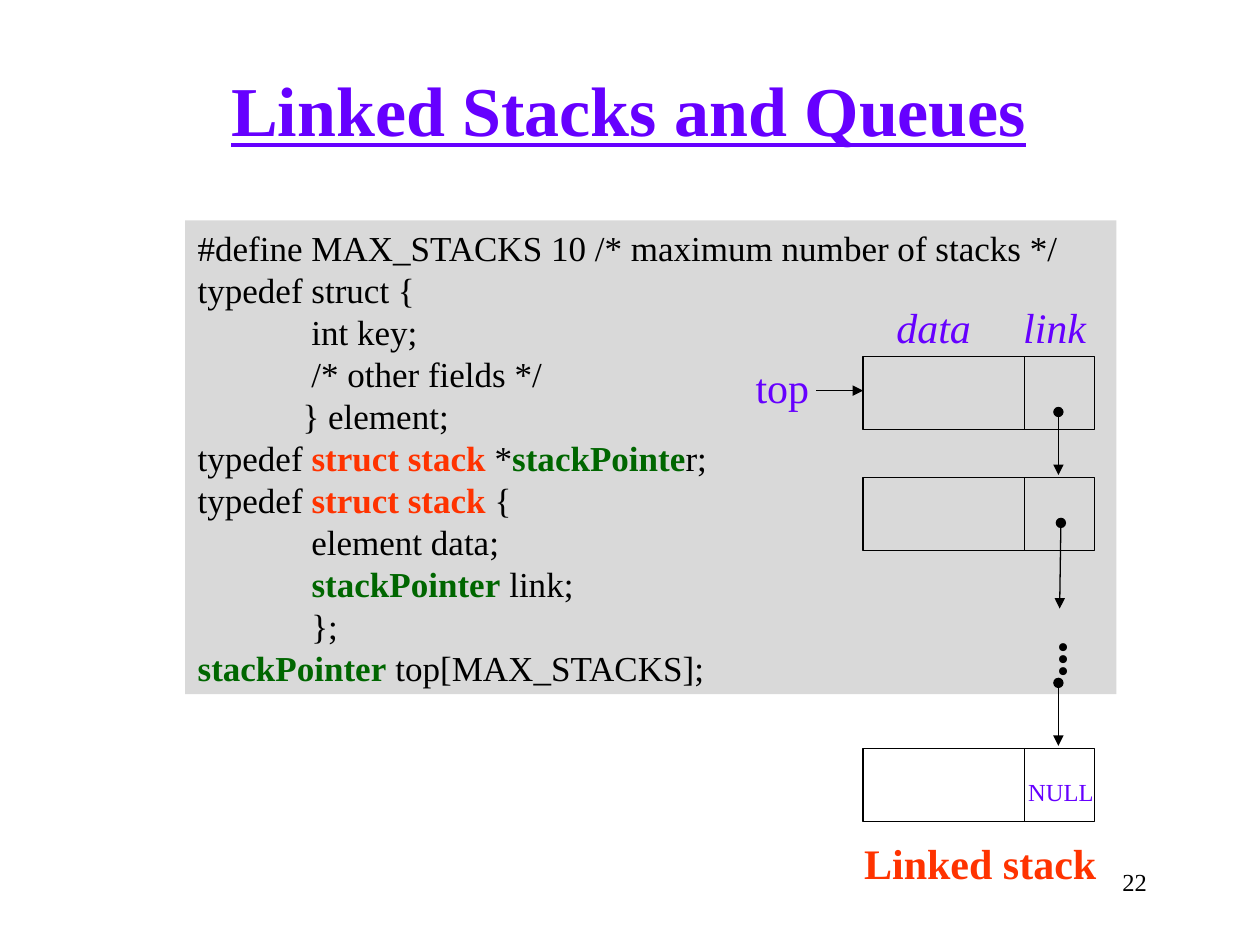
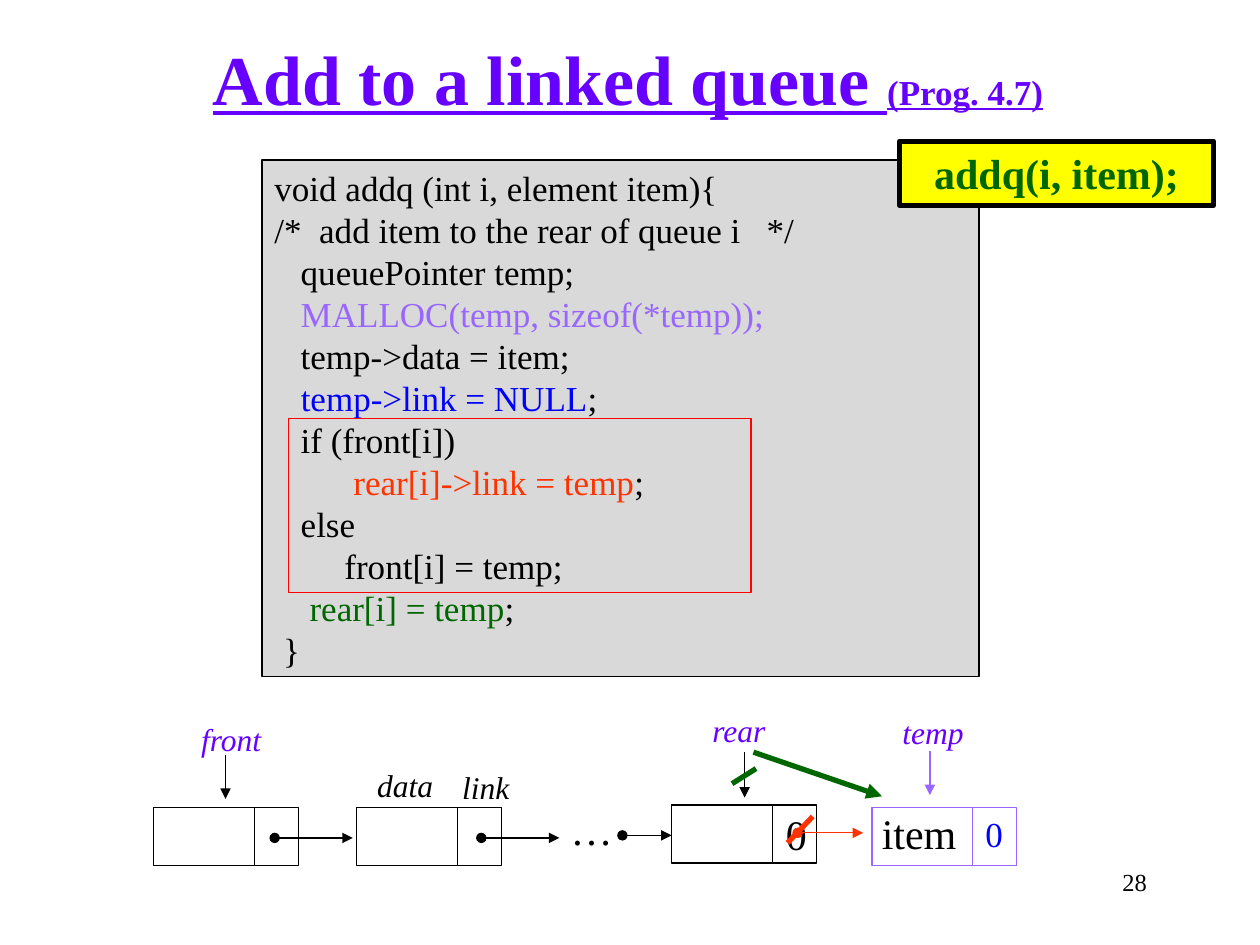
from dataclasses import dataclass

import lxml.etree
import pptx
import pptx.dml.color
import pptx.enum.shapes
import pptx.enum.text
import pptx.oxml.ns
import pptx.presentation
import pptx.slide
import pptx.util

PX = 9144
FONT = "Times New Roman"
INKS = {
    "black": "000000", "violet": "6600FF", "lilac": "9966FF", "red": "FF3300",
    "frame": "FF0000", "green": "006600", "blue": "0000FF", "grey": "D9D9D9",
    "yellow": "FFFF00",
}
ALIGN = pptx.enum.text.PP_ALIGN
ANCHOR = pptx.enum.text.MSO_ANCHOR
SHAPE = pptx.enum.shapes.MSO_SHAPE
STRAIGHT = pptx.enum.shapes.MSO_CONNECTOR.STRAIGHT


@dataclass
class Span:
    text: str
    ink: str = ""
    bold: bool = False
    size: int = 0


@dataclass
class Box:
    x: int
    y: int
    w: int
    h: int
    paras: tuple = ()
    size: int = 20
    ink: str = "black"
    bold: bool = False
    slant: bool = False
    under: bool = False
    align: int = ALIGN.CENTER
    mid: bool = False
    wrap: bool = True
    turn: str = ""
    fill: str = ""
    line: str = ""
    width: float = 0.75


@dataclass
class Node:
    x: int
    y: int
    data: int
    link: int
    h: int
    ink: str = "black"


@dataclass
class Arrow:
    x1: int
    y1: int
    x2: int
    y2: int
    ink: str = "black"
    width: float = 0.75
    head: str = "oval"
    tail: str = "triangle"


def px(count: int) -> pptx.util.Emu:
    """Turn px into EMU."""
    return pptx.util.Emu(count * PX)


def tint(name: str) -> pptx.dml.color.RGBColor:
    """Look up a colour by name."""
    return pptx.dml.color.RGBColor.from_string(INKS[name])


def fill_para(para, spans: tuple, box: Box) -> None:
    """Write the spans of one paragraph, with line breaks at newlines."""
    para.alignment = box.align
    for span in spans:
        span = Span(span) if isinstance(span, str) else span
        for count, piece in enumerate(span.text.split("\n")):
            if count:
                para.add_line_break()
            if not piece:
                continue
            run = para.add_run()
            run.text = piece
            font = run.font
            font.name = FONT
            font.size = pptx.util.Pt(span.size or box.size)
            font.bold = span.bold or box.bold
            font.italic = box.slant
            font.underline = box.under
            font.color.rgb = tint(span.ink or box.ink)


def draw_box(slide: pptx.slide.Slide, box: Box) -> None:
    """Draw a text box, or a rectangle if it has a fill or line."""
    place = [px(side) for side in (box.x, box.y, box.w, box.h)]
    if box.fill or box.line:
        shape = slide.shapes.add_shape(SHAPE.RECTANGLE, *place)
        shape.shadow.inherit = False
        if box.fill:
            shape.fill.solid()
            shape.fill.fore_color.rgb = tint(box.fill)
        else:
            shape.fill.background()
        if box.line:
            shape.line.color.rgb = tint(box.line)
            shape.line.width = pptx.util.Pt(box.width)
        else:
            shape.line.fill.background()
    else:
        shape = slide.shapes.add_textbox(*place)
    frame = shape.text_frame
    frame.word_wrap = box.wrap
    frame.vertical_anchor = ANCHOR.MIDDLE if box.mid else ANCHOR.TOP
    if box.turn:
        frame._txBody.bodyPr.set("vert", box.turn)
    for count, spans in enumerate(box.paras):
        para = frame.add_paragraph() if count else frame.paragraphs[0]
        fill_para(para, spans, box)


def draw_node(slide: pptx.slide.Slide, node: Node) -> None:
    """Draw a list node as a data cell and a link cell."""
    for x, w in ((node.x, node.data), (node.x + node.data, node.link)):
        draw_box(slide, Box(x, node.y, w, node.h, line=node.ink))


def draw_arrow(slide: pptx.slide.Slide, arrow: Arrow) -> None:
    """Draw a straight line with its end marks."""
    ends = [px(side) for side in (arrow.x1, arrow.y1, arrow.x2, arrow.y2)]
    wire = slide.shapes.add_connector(STRAIGHT, *ends)
    wire.line.color.rgb = tint(arrow.ink)
    wire.line.width = pptx.util.Pt(arrow.width)
    qn = pptx.oxml.ns.qn
    line = wire.line._get_or_add_ln()
    for tag, kind in (("a:headEnd", arrow.head), ("a:tailEnd", arrow.tail)):
        if kind:
            lxml.etree.SubElement(line, qn(tag)).set("type", kind)
    lxml.etree.SubElement(wire._element.spPr, qn("a:effectLst"))


DRAW = {Box: draw_box, Node: draw_node, Arrow: draw_arrow}


def label(text: str, x: int, y: int, w: int, h: int, **look) -> Box:
    """Make a box that holds one plain line."""
    return Box(x, y, w, h, ((text,),), **look)


def title(x: int, y: int, w: int, *spans) -> Box:
    """Make the underlined slide title."""
    return Box(x, y, w, 73, (spans,), size=40, ink="violet", bold=True,
               under=True, mid=True)


def build(deck: pptx.presentation.Presentation, page: int, parts: list) -> None:
    """Add a slide with its page number and parts."""
    slide = deck.slides.add_slide(deck.slide_layouts[6])
    number = label(str(page), 712, 683, 208, 50, size=14, align=ALIGN.RIGHT)
    for part in [number, *parts]:
        DRAW[type(part)](slide, part)


def stack_parts() -> list:
    """List the parts of the linked stack slide."""
    struct = Span("struct stack", "red", True)
    point = Span("stackPointer", "green", True)
    code = (
        "#define MAX_STACKS 10 /* maximum number of stacks */\n"
        "typedef struct {\n"
        "             int key;\n"
        "             /* other fields */\n"
        "            } element;\n"
        "typedef ", struct, " *", Span("stackPointe", "green", True), "r;\n"
        "typedef ", struct, " {\n"
        "             element data;\n"
        "             ", point, " link;\n"
        "             };\n",
        point, " top[MAX_STACKS];",
    )
    name = {"size": 24, "ink": "violet"}
    return [
        title(74, 50, 850, "Linked Stacks and Queues"),
        Box(147, 175, 739, 376, (code,), align=ALIGN.LEFT, mid=True, fill="grey"),
        label("top", 571, 281, 100, 52, mid=True, wrap=False, **name),
        label("data", 698, 234, 86, 50, slant=True, **name),
        label("link", 798, 234, 78, 50, slant=True, **name),
        *(Node(685, y, 128, 56, 58) for y in (283, 379, 594)),
        Arrow(840, 327, 840, 377),
        Arrow(842, 415, 841, 483),
        Arrow(840, 542, 840, 592),
        label("NULL", 806, 612, 72, 33, size=14, ink="violet", wrap=False),
        label("...", 818, 499, 67, 39, size=28, bold=True, wrap=False,
              turn="eaVert"),
        Arrow(648, 310, 685, 310, head=""),
        label("Linked stack", 676, 660, 205, 50, size=24, ink="red", bold=True,
              align=ALIGN.LEFT, wrap=False),
    ]


def queue_parts() -> list:
    """List the parts of the linked queue slide."""
    code = (
        ("void addq (int i, element item){",),
        ("/*  add item to the rear of queue i   */\n"
         "   queuePointer temp;\n",
         Span("   MALLOC(temp, sizeof(*temp));\n", "lilac"),
         "   temp->data = item;\n"
         "   ", Span("temp->link = NULL", "blue"), ";"),
        ("   if (front[i]) \n"
         "         ", Span("rear[i]->link = temp", "red"), ";"),
        ("   else \n"
         "        front[i] = temp;",),
        ("    ", Span("rear[i] = temp", "green"), ";"),
        (" }",),
    )
    name = {"size": 18, "slant": True}
    point = {"ink": "violet", "mid": True, "wrap": False, **name}
    cell = {"data": 80, "link": 35, "h": 46}
    return [
        Box(208, 127, 569, 410, code, align=ALIGN.LEFT, fill="grey", line="black"),
        label("addq(i, item);", 714, 112, 249, 51, size=24, ink="green",
              bold=True, fill="yellow", line="black", width=3),
        title(25, 25, 947, "Add to a linked queue ", Span("(Prog. 4.7)", size=20)),
        label("0", 613, 637, 38, 50, size=24),
        label("item", 689, 636, 81, 50, size=24),
        label("0", 770, 640, 38, 44, ink="blue"),
        Node(122, 641, **cell),
        Node(283, 641, **cell),
        Node(533, 639, **cell),
        Node(692, 641, ink="lilac", **cell),
        label("front", 132, 566, 103, 41, **point),
        label("rear", 535, 559, 103, 41, **point),
        label("temp", 689, 560, 103, 41, **point),
        label("data", 289, 603, 65, 40, wrap=False, **name),
        label("link", 345, 605, 81, 40, **name),
        label("…", 429, 633, 81, 50, size=24, mid=True, wrap=False),
        Arrow(179, 599, 179, 634, head=""),
        Arrow(591, 597, 591, 633, head=""),
        Arrow(738, 596, 738, 631, "lilac", head=""),
        Arrow(218, 665, 280, 665),
        Arrow(382, 665, 444, 665),
        Arrow(494, 663, 533, 663),
        Arrow(633, 661, 685, 661, "red"),
        Arrow(625, 669, 645, 648, "red", 3, "", ""),
        Arrow(598, 597, 700, 632, "green", 3, ""),
        Arrow(581, 622, 600, 610, "green", 3, "", ""),
        Box(229, 332, 367, 138, line="frame"),
    ]


def main() -> None:
    """Build and save the deck."""
    deck = pptx.Presentation()
    deck.slide_width, deck.slide_height = px(1000), px(750)
    build(deck, 22, stack_parts())
    build(deck, 28, queue_parts())
    deck.save("out.pptx")


if __name__ == "__main__":
    main()
